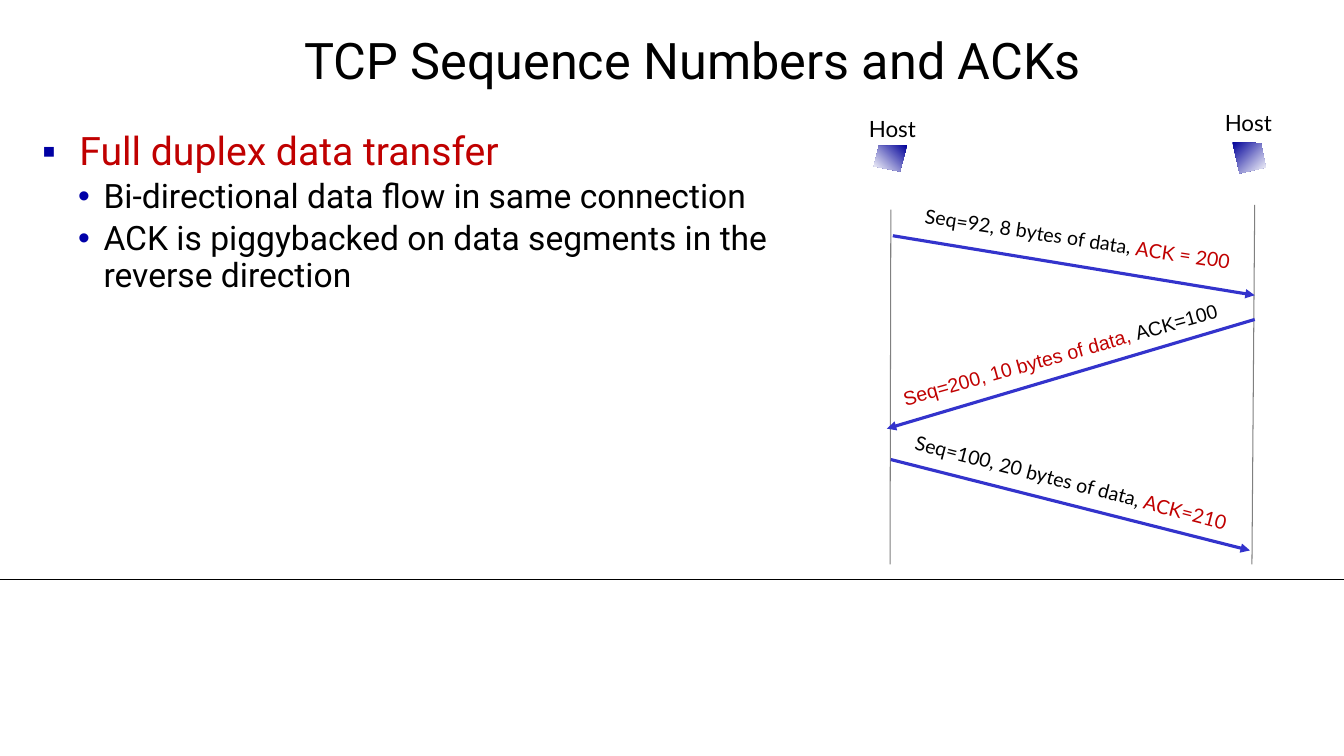
from lxml import etree
from pptx import Presentation, util as u
from pptx.dml.color import RGBColor
from pptx.enum import shapes, text
from pptx.oxml import ns

COLORS = {"black": "000000", "red": "C00000", "arrow": "3333CC", "timeline": "808080",
          "navy": "000099", "white": "FFFFFF", "square": "0000A3", "dot": "0000A8"}

# Positions and sizes in cm
TITLE = "TCP Sequence Numbers and ACKs"
TITLE_BOX = (5.6, 0.66, 23.72, 1.85)
BODY_BOX = (0.43, 3.2, 20.9, 12.9)
# text, level, color
BULLETS = [
    ("Full duplex data transfer", 0, "red"),
    ("Bi-directional data flow in same connection", 1, "black"),
    ("ACK is piggybacked on data segments in the reverse direction", 1, "black"),
]
# size, space before, left margin, hanging indent, bullet, bullet color
LEVELS = [(28, 0, 1.32, 0.94, "▪", "square"), (24, 4, 1.93, 0.64, "•", "dot")]

HOST_LABEL = "Host"
# label box, outline, gradient angle
HOSTS = [
    ((21.41, 2.77, 2.16, 0.94),
     [(22.86, 3.66), (22.15, 3.68), (22.02, 4.19), (22.68, 4.32)], 225),
    ((30.38, 2.62, 2.16, 0.94),
     [(31.06, 3.58), (31.78, 3.61), (31.9, 4.22), (31.24, 4.37)], 315),
]
# start, end, color, width
RULES = [
    ((0, 14.61), (33.87, 14.61), "black", 0.5),
    ((22.45, 5.28), (22.43, 14.22), "timeline", 0.75),
    ((31.62, 5.16), (31.55, 14.22), "timeline", 0.75),
]
# start, end, label box, rotation, font, colored label parts
SEGMENTS = [
    ((22.5, 5.94), (31.62, 7.44), (22.89, 5.59, 8.53, 0.86), 8.6, "Lato",
     [("Seq=92, 8 bytes of data, ", "black"), ("ACK = 200", "red")]),
    ((31.62, 8.05), (22.35, 10.8), (22.35, 8.51, 8.74, 0.86), -15.7, "Arial",
     [("Seq=200, 10 bytes of data, ", "red"), ("ACK=100", "black")]),
    ((22.45, 11.58), (31.5, 13.87), (22.61, 11.73, 8.76, 0.86), 14.6, "Lato",
     [("Seq=100, 20 bytes of data, ", "black"), ("ACK=210", "red")]),
]


def rgb(name):
    return RGBColor.from_string(COLORS[name])


def add_xml(parent, tag, **attributes):
    return etree.SubElement(parent, ns.qn(tag), attributes)


def add_line(slide, start, end, color, width, arrow=False):
    line = slide.shapes.add_connector(
        shapes.MSO_CONNECTOR.STRAIGHT, *[u.Cm(v) for v in start + end])
    line.line.color.rgb = rgb(color)
    line.line.width = u.Pt(width)
    if arrow:
        add_xml(line.line._get_or_add_ln(), "a:tailEnd", type="triangle")
    add_xml(line._element.spPr, "a:effectLst")


def add_text_box(slide, box, wrap=True):
    shape = slide.shapes.add_textbox(*[u.Cm(v) for v in box])
    shape.text_frame.word_wrap = wrap
    return shape


def add_run(paragraph, words, font, size, color):
    run = paragraph.add_run()
    run.text = words
    run.font.name = font
    run.font.size = u.Pt(size)
    run.font.color.rgb = rgb(color)


def add_label(slide, box, parts, font, size, wrap=False):
    """Add one centred line made of (words, color) parts."""
    shape = add_text_box(slide, box, wrap)
    paragraph = shape.text_frame.paragraphs[0]
    paragraph.alignment = text.PP_ALIGN.CENTER
    for words, color in parts:
        add_run(paragraph, words, font, size, color)
    return shape


def add_bullets(slide):
    frame = add_text_box(slide, BODY_BOX).text_frame
    for index, (words, level, color) in enumerate(BULLETS):
        size, before, margin, hanging, bullet, bullet_color = LEVELS[level]
        paragraph = frame.add_paragraph() if index else frame.paragraphs[0]
        paragraph.level = level
        paragraph.line_spacing = 0.9
        paragraph.space_before = u.Pt(before)
        properties = paragraph._p.get_or_add_pPr()
        properties.set("marL", str(u.Cm(margin)))
        properties.set("indent", str(-u.Cm(hanging)))
        add_xml(add_xml(properties, "a:buClr"), "a:srgbClr", val=COLORS[bullet_color])
        add_xml(properties, "a:buFont", typeface="Arial")
        add_xml(properties, "a:buChar", char=bullet)
        add_run(paragraph, words, "Roboto", size, color)


def add_host(slide, box, outline, angle):
    add_label(slide, box, [(HOST_LABEL, "black")], "Lato", 16)
    points = [(u.Cm(x), u.Cm(y)) for x, y in outline]
    builder = slide.shapes.build_freeform(*points[0])
    builder.add_line_segments(points[1:], close=True)
    screen = builder.convert_to_shape()
    screen.shadow.inherit = False
    screen.line.fill.background()
    screen.fill.gradient()
    screen.fill.gradient_angle = angle
    for stop, color in zip(screen.fill.gradient_stops, ("navy", "white")):
        stop.color.rgb = rgb(color)


def main():
    presentation = Presentation()
    presentation.slide_width, presentation.slide_height = u.Cm(33.87), u.Cm(19.05)
    slide = presentation.slides.add_slide(presentation.slide_layouts[6])

    title = add_label(slide, TITLE_BOX, [(TITLE, "black")], "Roboto", 36, wrap=True)
    title.text_frame.vertical_anchor = text.MSO_ANCHOR.MIDDLE
    title.text_frame.paragraphs[0].line_spacing = 0.9
    add_bullets(slide)

    for rule in RULES:
        add_line(slide, *rule)
    for start, end, box, rotation, font, parts in SEGMENTS:
        add_line(slide, start, end, "arrow", 2.25, arrow=True)
        add_label(slide, box, parts, font, 14).rotation = rotation
    for host in HOSTS:
        add_host(slide, *host)
    presentation.save("out.pptx")


if __name__ == "__main__":
    main()
